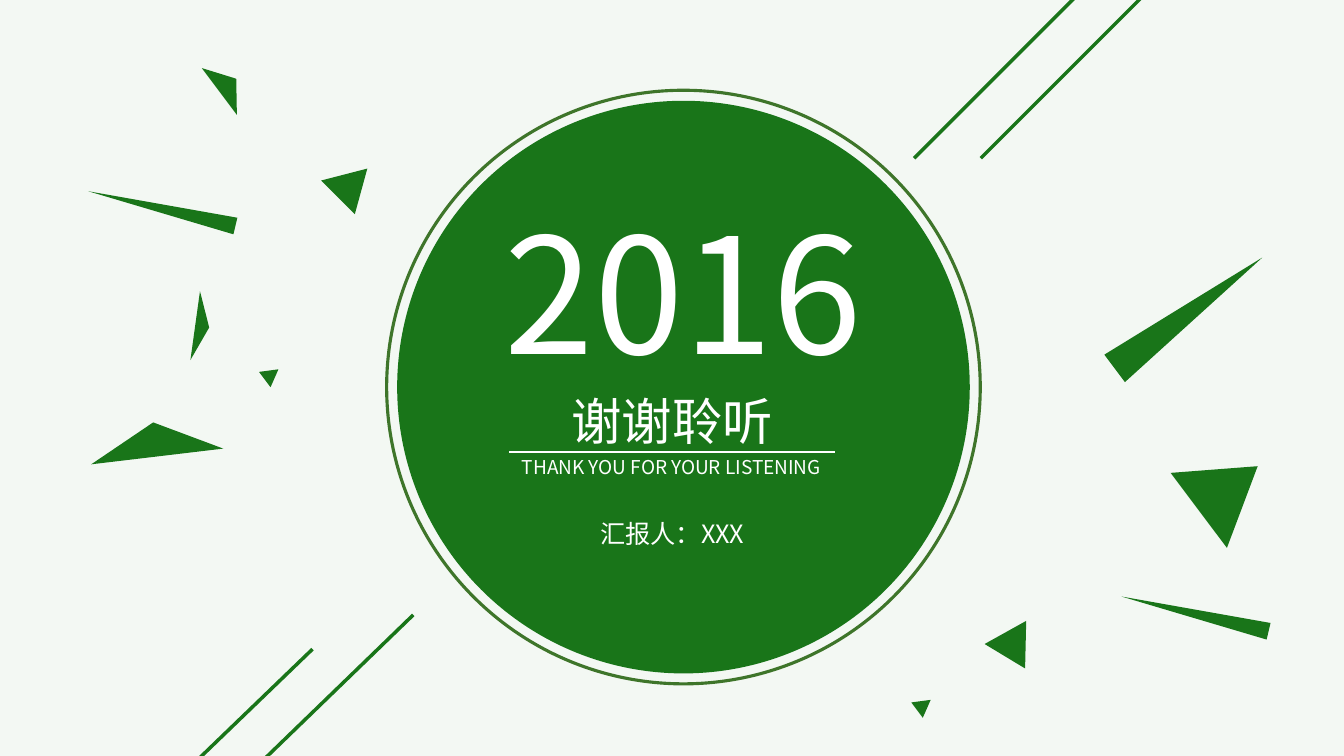
from typing import NamedTuple

from lxml.etree import SubElement
from pptx import Presentation
from pptx.dml.color import RGBColor
from pptx.enum.shapes import MSO_CONNECTOR as Connector, MSO_SHAPE as Preset
from pptx.enum.text import MSO_AUTO_SIZE as AutoSize, PP_ALIGN as Align
from pptx.oxml.ns import qn
from pptx.util import Pt

GREEN, RING_GREEN, WHITE, PALE = "197519", "3E752A", "FFFFFF", "F3F8F3"
FONT = "Noto Sans CJK SC"


class Shard(NamedTuple):
    center_x: float
    center_y: float
    width: float
    height: float
    rotation: float = 53.1


class Stroke(NamedTuple):
    x1: float
    y1: float
    x2: float
    y2: float
    color: str = GREEN
    weight: float = 2.5


class Caption(NamedTuple):
    text: str
    left: float
    top: float
    width: float
    height: float
    size: float


SHARDS = [
    Shard(110.9, 313.9, 95, 24.5, 353.2),
    Shard(877.3, 348.8, 67, 52.6),
    Shard(194, 267.5, 13.7, 12.2),
    Shard(115.6, 149, 12.2, 108, 283.3),
    Shard(243.7, 132.8, 33.8, 29.5, 285.3),
    Shard(144.4, 233.3, 49.7, 10.1, 97.9),
    Shard(725.4, 456.1, 33.8, 29.5, 31.1),
    Shard(162.7, 60.8, 41.8, 15.1),
    Shard(848.9, 223.6, 24.5, 131.8),
    Shard(659.9, 503.6, 13.7, 12.2),
    Shard(853.6, 438.5, 12.2, 108, 283.3),
]
STROKES = [
    Stroke(908.6, -95, 700.6, 113),
    Stroke(827.3, -61.2, 653, 113),
    Stroke(295.2, 439.2, 92.9, 635),
    Stroke(223.2, 463.7, 45.4, 635),
    Stroke(363.6, 322.6, 596.2, 322.6, WHITE, 1.5),
]
CAPTIONS = [
    Caption("2016", 339.8, 134.6, 296.6, 146.9, 115),
    Caption("谢谢聆听", 329, 275, 302.4, 51.1, 36),
    Caption("THANK YOU FOR YOUR LISTENING", 317.5, 321.8, 324, 24.5, 13.6),
    Caption("汇报人：XXX", 403.9, 366.5, 152.6, 28.8, 18),
]
DISC_CENTER = (488.2, 276.5)
DISC_SIZE, RING_SIZE = 409, 424


def rgb(color: str) -> RGBColor:
    return RGBColor.from_string(color)


def add_centered(shapes, preset, x: float, y: float, width: float, height: float):
    """Add a preset shape around its centre point."""
    shape = shapes.add_shape(preset, Pt(x - width / 2), Pt(y - height / 2), Pt(width), Pt(height))
    shape.shadow.inherit = False
    return shape


def paint(shape, color: str) -> None:
    """Fill a shape with a plain colour and no outline."""
    shape.fill.solid()
    shape.fill.fore_color.rgb = rgb(color)
    shape.line.fill.background()


def draw_disc(slide) -> None:
    """Draw the green disc with its thin ring as one group."""
    emblem = slide.shapes.add_group_shape().shapes
    paint(add_centered(emblem, Preset.OVAL, *DISC_CENTER, DISC_SIZE, DISC_SIZE), GREEN)
    ring = add_centered(emblem, Preset.OVAL, *DISC_CENTER, RING_SIZE, RING_SIZE)
    ring.fill.background()
    ring.line.color.rgb = rgb(RING_GREEN)
    ring.line.width = Pt(2.25)


def draw_shard(slide, shard: Shard) -> None:
    triangle = add_centered(slide.shapes, Preset.ISOSCELES_TRIANGLE, *shard[:4])
    triangle.rotation = shard.rotation
    paint(triangle, GREEN)


def draw_stroke(slide, stroke: Stroke) -> None:
    ends = [Pt(value) for value in stroke[:4]]
    line = slide.shapes.add_connector(Connector.STRAIGHT, *ends)
    line.line.color.rgb = rgb(stroke.color)
    line.line.width = Pt(stroke.weight)
    SubElement(line._element.spPr, qn("a:effectLst"))


def draw_caption(slide, caption: Caption) -> None:
    box = [Pt(value) for value in caption[1:5]]
    frame = slide.shapes.add_textbox(*box).text_frame
    frame.word_wrap = True
    frame.auto_size = AutoSize.SHAPE_TO_FIT_TEXT
    paragraph = frame.paragraphs[0]
    paragraph.alignment = Align.CENTER
    run = paragraph.add_run()
    run.text = caption.text
    for attribute, value in {"name": FONT, "size": Pt(caption.size)}.items():
        setattr(run.font, attribute, value)
    run.font.color.rgb = rgb(WHITE)
    SubElement(run._r.get_or_add_rPr(), qn("a:ea"), typeface=FONT)


def main() -> None:
    deck = Presentation()
    deck.slide_width, deck.slide_height = Pt(960), Pt(540)
    slide = deck.slides.add_slide(deck.slide_layouts[6])
    slide.background.fill.solid()
    slide.background.fill.fore_color.rgb = rgb(PALE)

    draw_disc(slide)
    for shard in SHARDS:
        draw_shard(slide, shard)
    for stroke in STROKES:
        draw_stroke(slide, stroke)
    for caption in CAPTIONS:
        draw_caption(slide, caption)
    deck.save("out.pptx")


if __name__ == "__main__":
    main()
